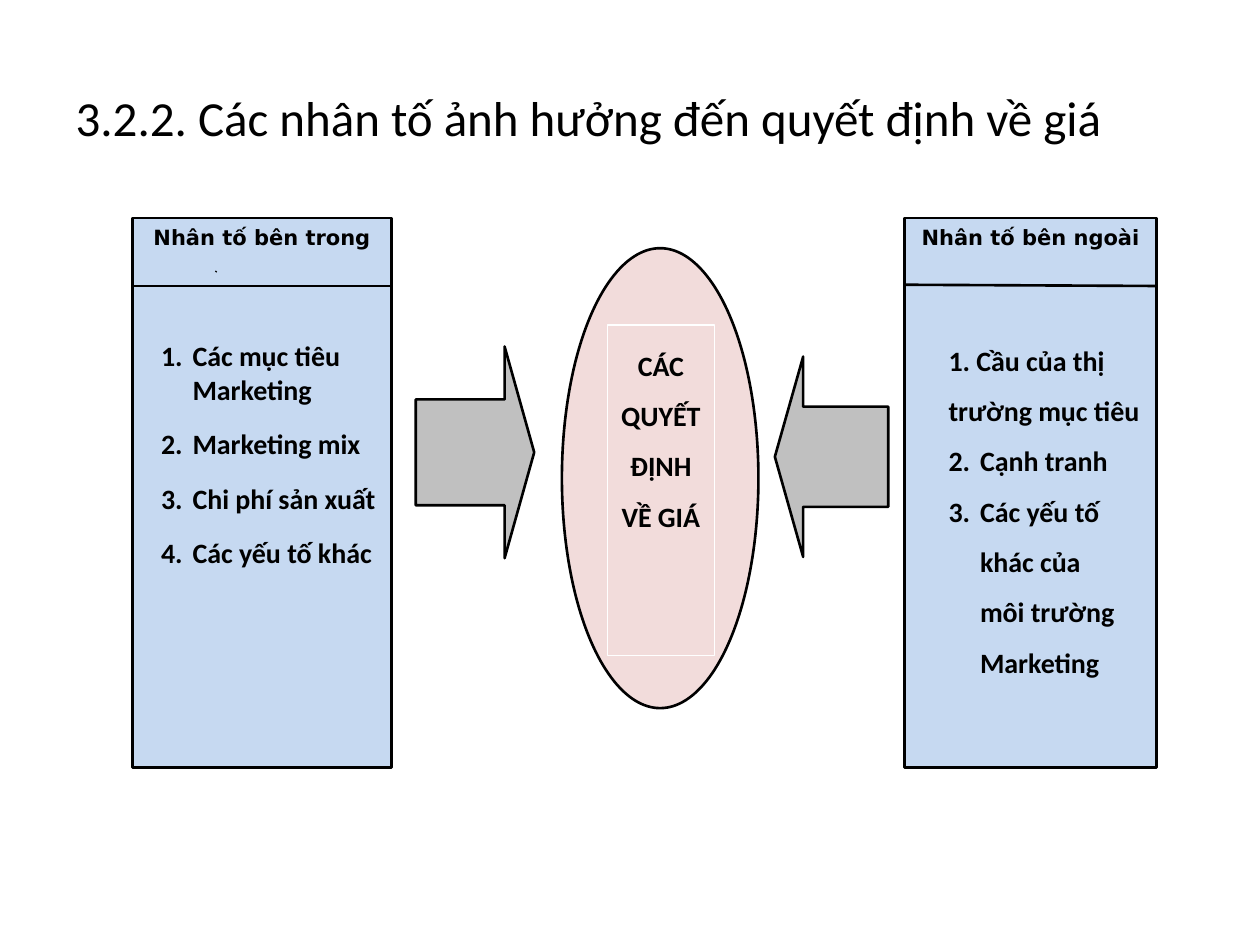
import pptx
import pptx.util
import pptx.dml.color
import pptx.enum.shapes
import pptx.enum.text
import pptx.oxml.ns
import lxml.etree

PX = 9144
BLACK = pptx.dml.color.RGBColor(0x00, 0x00, 0x00)
WHITE = pptx.dml.color.RGBColor(0xFF, 0xFF, 0xFF)
BLUE = pptx.dml.color.RGBColor(0xC6, 0xD9, 0xF1)
PINK = pptx.dml.color.RGBColor(0xF2, 0xDC, 0xDB)
GRAY = pptx.dml.color.RGBColor(0xC0, 0xC0, 0xC0)
SHAPE = pptx.enum.shapes.MSO_SHAPE
ALIGN = pptx.enum.text.PP_ALIGN
ANCHOR = pptx.enum.text.MSO_ANCHOR
Pt = pptx.util.Pt

HEADING = {"name": "DejaVu Sans", "size": Pt(12), "bold": True}
BODY = {"name": "Calibri", "size": Pt(16), "bold": True}
TITLE = {"name": "Calibri", "size": Pt(28), "bold": False}


def add_box(kind, box, fill, line_color=BLACK, line_width=1.5):
    shape = slide.shapes.add_shape(kind, *[value * PX for value in box])
    shape.shadow.inherit = False
    shape.fill.solid()
    shape.fill.fore_color.rgb = fill
    shape.line.color.rgb = line_color
    shape.line.width = Pt(line_width)
    shape.text_frame.word_wrap = True
    shape.text_frame.vertical_anchor = ANCHOR.TOP
    return shape


def write_paragraph(frame, text, font, layout, indent=(0, 0), start=None):
    paragraph = frame.paragraphs[0]
    if paragraph.text:
        paragraph = frame.add_paragraph()
    paragraph.text = text
    for name, value in layout.items():
        setattr(paragraph, name, value)
    for name, value in font.items():
        setattr(paragraph.font, name, value)
    paragraph.font.color.rgb = BLACK
    properties = paragraph._p.get_or_add_pPr()
    properties.set("marL", str(indent[0] * PX))
    properties.set("indent", str(indent[1] * PX))
    if start:
        number = lxml.etree.SubElement(properties, pptx.oxml.ns.qn("a:buAutoNum"), type="arabicPeriod")
        number.set("startAt", str(start))
        properties.find(pptx.oxml.ns.qn("a:defRPr")).addprevious(number)


presentation = pptx.Presentation()
presentation.slide_width = 1000 * PX
presentation.slide_height = 750 * PX
slide = presentation.slides.add_slide(presentation.slide_layouts[5])

title = slide.shapes.title
for name, value in {"left": 50, "top": 30, "width": 900, "height": 125}.items():
    setattr(title, name, value * PX)
title.text_frame.vertical_anchor = ANCHOR.MIDDLE
write_paragraph(title.text_frame, "3.2.2. Các nhân tố ảnh hưởng đến quyết định về giá",
                TITLE, {"alignment": ALIGN.LEFT})

inner_indent = (38, -25)
outer_indent = (50, -25)
panels = [
    ((105, 173, 206, 436), "Nhân tố bên trong", 51, 12, 1.0, [
        ("Các mục tiêu Marketing", inner_indent, 1),
        ("Marketing mix", inner_indent, 1),
        ("Chi phí sản xuất", inner_indent, 1),
        ("Các yếu tố khác", inner_indent, 1),
    ]),
    ((718, 173, 200, 436), "Nhân tố bên ngoài", 44, 0, 1.5, [
        ("1. Cầu của thị trường mục tiêu", (25, 0), None),
        ("Cạnh tranh", outer_indent, 2),
        ("Các yếu tố khác của\vmôi trường Marketing", outer_indent, 2),
    ]),
]
for box, heading, first_gap, gap, spacing, items in panels:
    frame = add_box(SHAPE.RECTANGLE, box, BLUE).text_frame
    write_paragraph(frame, heading, HEADING, {"alignment": ALIGN.CENTER})
    for index, (text, indent, start) in enumerate(items):
        layout = {"alignment": ALIGN.LEFT, "line_spacing": spacing,
                  "space_before": Pt(gap if index else first_gap)}
        write_paragraph(frame, text, BODY, layout, indent, start)

add_box(SHAPE.OVAL, (446, 197, 156, 365), PINK)
decision = add_box(SHAPE.RECTANGLE, (482, 258, 85, 262), PINK, WHITE, 0.75)
for text in ("CÁC", "QUYẾT ĐỊNH", "VỀ GIÁ"):
    write_paragraph(decision.text_frame, text, BODY,
                    {"alignment": ALIGN.CENTER, "line_spacing": 1.5})

for kind, box in ((SHAPE.RIGHT_ARROW, (330, 275, 94, 168)),
                  (SHAPE.LEFT_ARROW, (615, 283, 90, 159))):
    arrow = add_box(kind, box, GRAY)
    arrow.adjustments[0] = 0.5
    arrow.adjustments[1] = 0.25

for ends, width in (((104, 227, 311, 227), 1.5),
                    ((717, 226, 918, 227), 1.5),
                    ((171, 215, 172, 216), 0.75)):
    line = slide.shapes.add_connector(pptx.enum.shapes.MSO_CONNECTOR.STRAIGHT,
                                      *[value * PX for value in ends])
    line.line.color.rgb = BLACK
    line.line.width = Pt(width)
    lxml.etree.SubElement(line._element.spPr, pptx.oxml.ns.qn("a:effectLst"))

presentation.save("out.pptx")
